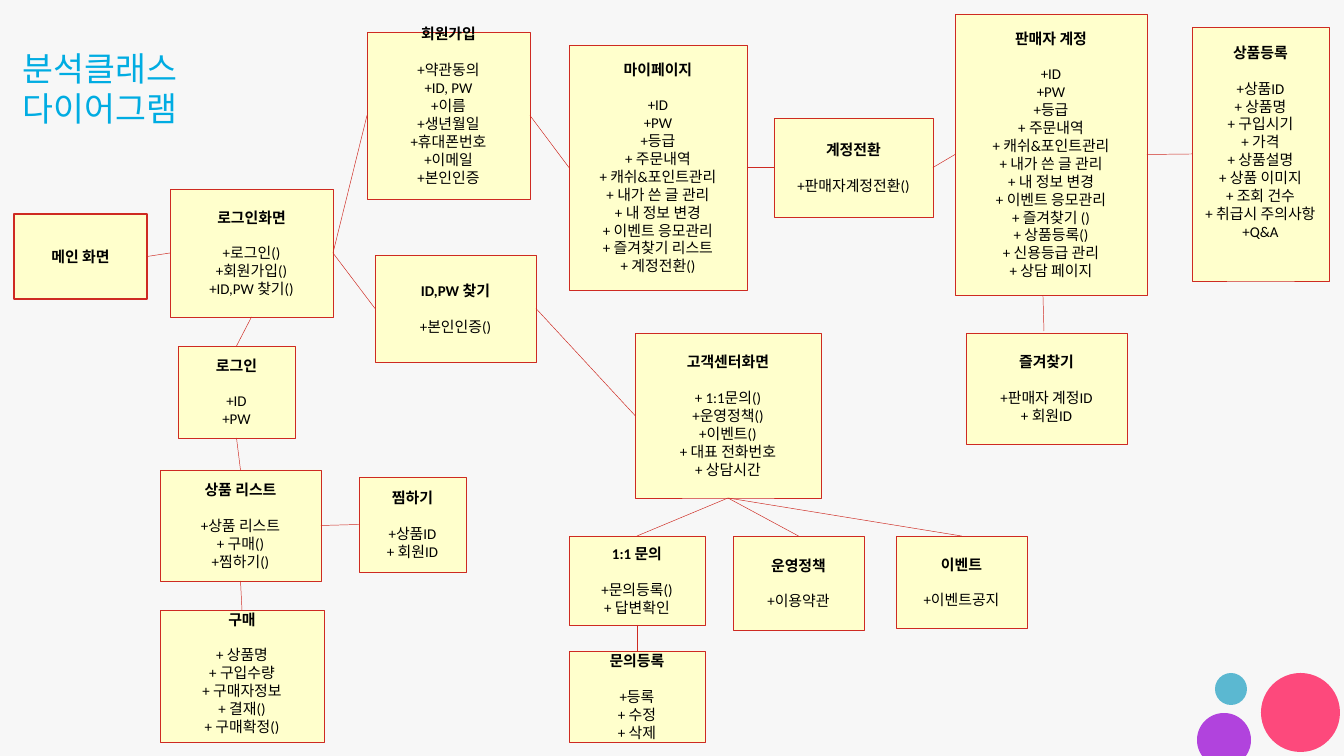
from math import asin, cos, pi, sin

from lxml.etree import SubElement
from pptx import Presentation
from pptx.dml.color import RGBColor
from pptx.enum.shapes import MSO_CONNECTOR, MSO_SHAPE
from pptx.enum.text import MSO_ANCHOR, PP_ALIGN
from pptx.oxml.ns import qn
from pptx.util import Emu, Pt

EMU_PER_PX = 914400 / 67.2
WIDTH, HEIGHT = 1344, 756
FONT = "Calibri"
RED = "CE2A22"
TOP, LEFT, BOTTOM, RIGHT = range(4)

ACCOUNT = ["+ID", "+PW", "+등급", "+ 주문내역", "+ 캐쉬&포인트관리",
           "+ 내가 쓴 글 관리", "+ 내 정보 변경", "+ 이벤트 응모관리"]

CLASSES = {
    "메인 화면": ((14, 214, 133, 85), []),
    "로그인화면": ((170, 189, 163, 128), ["+로그인()", "+회원가입()", "+ID,PW 찾기()"]),
    "회원가입": ((367, 32, 163, 167), ["+약관동의", "+ID, PW", "+이름", "+생년월일",
                                   "+휴대폰번호", "+이메일", "+본인인증"]),
    "ID,PW 찾기": ((375, 255, 161, 107), ["+본인인증()"]),
    "로그인": ((178, 346, 117, 92), ["+ID", "+PW"]),
    "상품 리스트": ((160, 470, 161, 111), ["+상품 리스트", "+ 구매()", "+찜하기()"]),
    "찜하기": ((359, 477, 107, 95), ["+상품ID", "+ 회원ID"]),
    "구매": ((160, 610, 164, 132), ["+ 상품명", "+ 구입수량", "+ 구매자정보",
                                  "+ 결재()", "+ 구매확정()"]),
    "마이페이지": ((569, 45, 178, 245), ACCOUNT + ["+ 즐겨찾기 리스트", "+ 계정전환()"]),
    "계정전환": ((774, 118, 159, 99), ["+판매자계정전환()"]),
    "판매자 계정": ((955, 14, 192, 281), ACCOUNT + ["+ 즐겨찾기 ()", "+ 상품등록()",
                                               "+ 신용등급 관리", "+ 상담 페이지"]),
    "상품등록": ((1192, 27, 137, 254), ["+상품ID", "+ 상품명", "+ 구입시기", "+ 가격",
                                    "+ 상품설명", "+ 상품 이미지", "+ 조회 건수",
                                    "+ 취급시 주의사항", "+Q&A"]),
    "즐겨찾기": ((966, 333, 161, 111), ["+판매자 계정ID", "+ 회원ID"]),
    "고객센터화면": ((635, 333, 186, 165), ["+ 1:1문의()", "+운영정책()", "+이벤트()",
                                      "+ 대표 전화번호", "+ 상담시간"]),
    "1:1 문의": ((569, 536, 136, 89), ["+문의등록()", "+ 답변확인"]),
    "운영정책": ((733, 536, 131, 94), ["+이용약관"]),
    "이벤트": ((896, 536, 131, 92), ["+이벤트공지"]),
    "문의등록": ((569, 651, 136, 91), ["+등록", "+ 수정", "+ 삭제"]),
}
TEXT_LIFTS = {"회원가입": 10, "상품등록": 12, "구매": 3}

LINKS = [
    ("메인 화면", RIGHT, "로그인화면", LEFT),
    ("로그인화면", RIGHT, "회원가입", LEFT),
    ("로그인화면", RIGHT, "ID,PW 찾기", LEFT),
    ("로그인화면", BOTTOM, "로그인", TOP),
    ("로그인", BOTTOM, "상품 리스트", TOP),
    ("상품 리스트", RIGHT, "찜하기", LEFT),
    ("상품 리스트", BOTTOM, "구매", TOP),
    ("회원가입", RIGHT, "마이페이지", LEFT),
    ("마이페이지", RIGHT, "계정전환", LEFT),
    ("계정전환", RIGHT, "판매자 계정", LEFT),
    ("판매자 계정", RIGHT, "상품등록", LEFT),
    ("ID,PW 찾기", RIGHT, "고객센터화면", LEFT),
    ("고객센터화면", BOTTOM, "1:1 문의", TOP),
    ("고객센터화면", BOTTOM, "운영정책", TOP),
    ("고객센터화면", BOTTOM, "이벤트", TOP),
    ("1:1 문의", BOTTOM, "문의등록", TOP),
]


def px(length):
    """Turn pixels into EMU."""
    return Emu(round(length * EMU_PER_PX))


def color(value):
    """Turn a hex string into a colour."""
    return RGBColor.from_string(value)


def paint(shape, fill):
    """Give a shape a plain fill without shadow or outline."""
    shape.shadow.inherit = False
    shape.fill.solid()
    shape.fill.fore_color.rgb = color(fill)
    shape.line.fill.background()


def style_text(para, size, value, bold=False):
    """Centre a paragraph and format its runs."""
    para.alignment = PP_ALIGN.CENTER
    for span in para.runs:
        span.font.name = FONT
        span.font.size = Pt(size)
        span.font.bold = bold
        span.font.color.rgb = color(value)


def add_title(page, text):
    """Add the slide title, wrapped within its box."""
    box = page.shapes.add_textbox(px(0), px(0), px(200), px(176))
    frame = box.text_frame
    frame.word_wrap = True
    frame.vertical_anchor = MSO_ANCHOR.MIDDLE
    frame.margin_left = frame.margin_right = px(12)
    frame.text = text
    style_text(frame.paragraphs[0], 36, "00ACE2")


def add_class_box(page, name, bounds, members):
    """Add a class box with a bold name above its members."""
    box = page.shapes.add_shape(MSO_SHAPE.RECTANGLE, *map(px, bounds))
    paint(box, "FFFFCC")
    box.line.color.rgb = color(RED)
    box.line.width = Pt(0.25 if members else 2.25)
    frame = box.text_frame
    frame.word_wrap = True
    frame.vertical_anchor = MSO_ANCHOR.MIDDLE
    frame.margin_top = px(3)
    frame.margin_bottom = px(3 + 2 * TEXT_LIFTS.get(name, 0))
    frame.text = "\n".join([name] + members)
    for index, para in enumerate(frame.paragraphs):
        style_text(para, 16, "000000", bold=index == 0)
    if members:
        frame.paragraphs[0].space_after = Pt(19)
    return box


def add_line(page, start=(0, 0), end=(0, 0)):
    """Add a thin red line."""
    line = page.shapes.add_connector(MSO_CONNECTOR.STRAIGHT, *map(px, start + end))
    line.line.color.rgb = color(RED)
    line.line.width = Pt(0.5)
    SubElement(line._element.spPr, qn("a:effectLst"))
    return line


def add_link(page, boxes, source, source_side, target, target_side):
    """Join the sides of two class boxes."""
    line = add_line(page)
    line.begin_connect(boxes[source], source_side)
    line.end_connect(boxes[target], target_side)


def add_circle(page, left, top, size, fill):
    """Add a decorative circle."""
    paint(page.shapes.add_shape(MSO_SHAPE.OVAL, px(left), px(top), px(size), px(size)), fill)


def add_cut_circle(page, center_x, center_y, radius, fill):
    """Add a circle cut off by the bottom edge of the slide."""
    steps = 90
    cut = asin((HEIGHT - center_y) / radius)
    angles = [pi - cut + (pi + 2 * cut) * step / steps for step in range(steps + 1)]
    points = [(px(center_x + radius * cos(angle)), px(center_y + radius * sin(angle)))
              for angle in angles]
    builder = page.shapes.build_freeform(*points[0])
    builder.add_line_segments(points[1:], close=True)
    paint(builder.convert_to_shape(), fill)


def main():
    """Build the class diagram slide."""
    deck = Presentation()
    deck.slide_width, deck.slide_height = px(WIDTH), px(HEIGHT)
    page = deck.slides.add_slide(deck.slide_layouts[6])
    page.background.fill.solid()
    page.background.fill.fore_color.rgb = color("F7F7F7")
    add_circle(page, 1215, 673, 32, "5BB8D1")
    add_circle(page, 1261, 673, 79, "FD497C")
    add_cut_circle(page, 1224, 740, 27, "B143DD")
    add_title(page, "분석클래스다이어그램")
    boxes = {name: add_class_box(page, name, *content) for name, content in CLASSES.items()}
    for link in LINKS:
        add_link(page, boxes, *link)
    add_line(page, (1043, 296), (1044, 331))
    deck.save("out.pptx")


if __name__ == "__main__":
    main()
